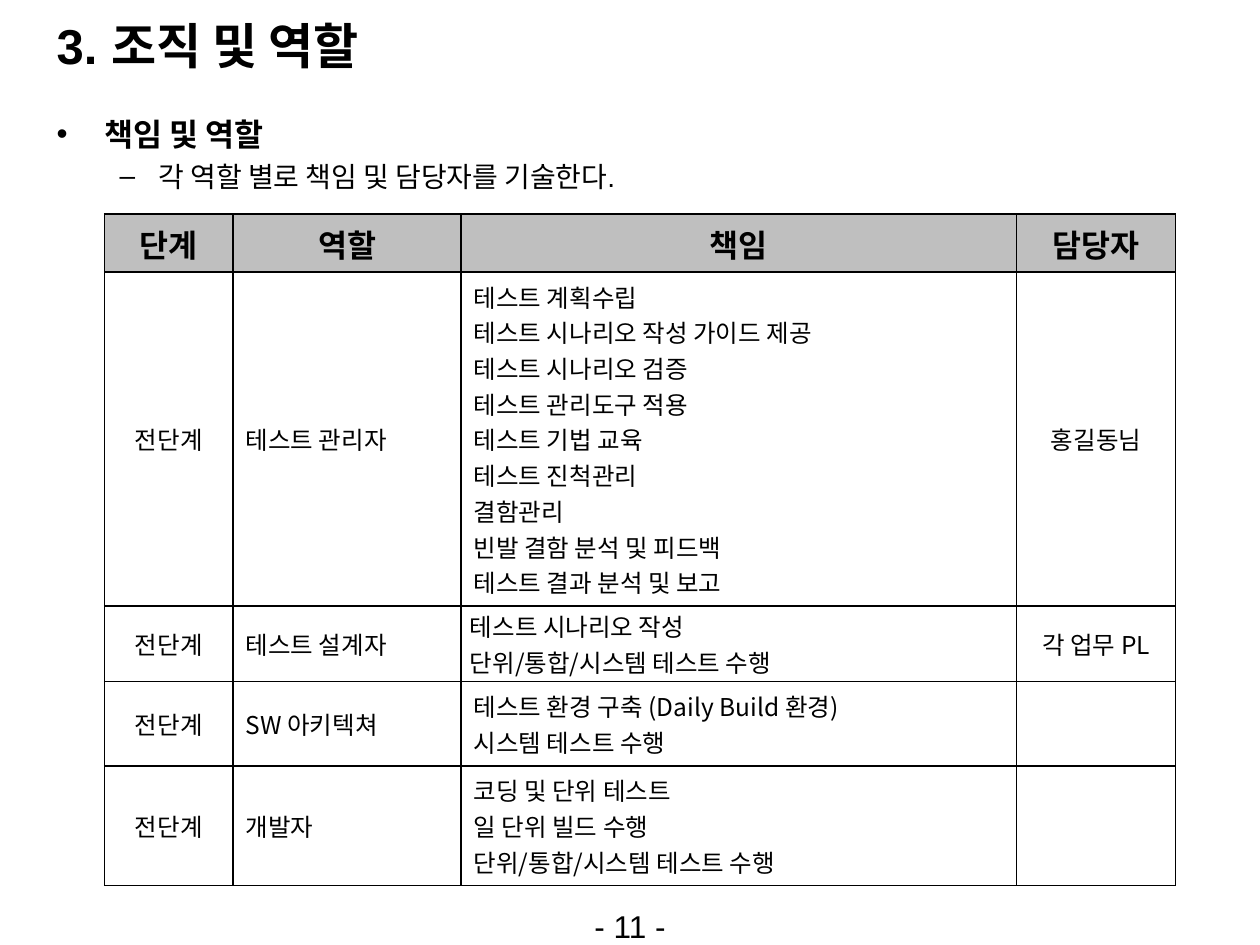
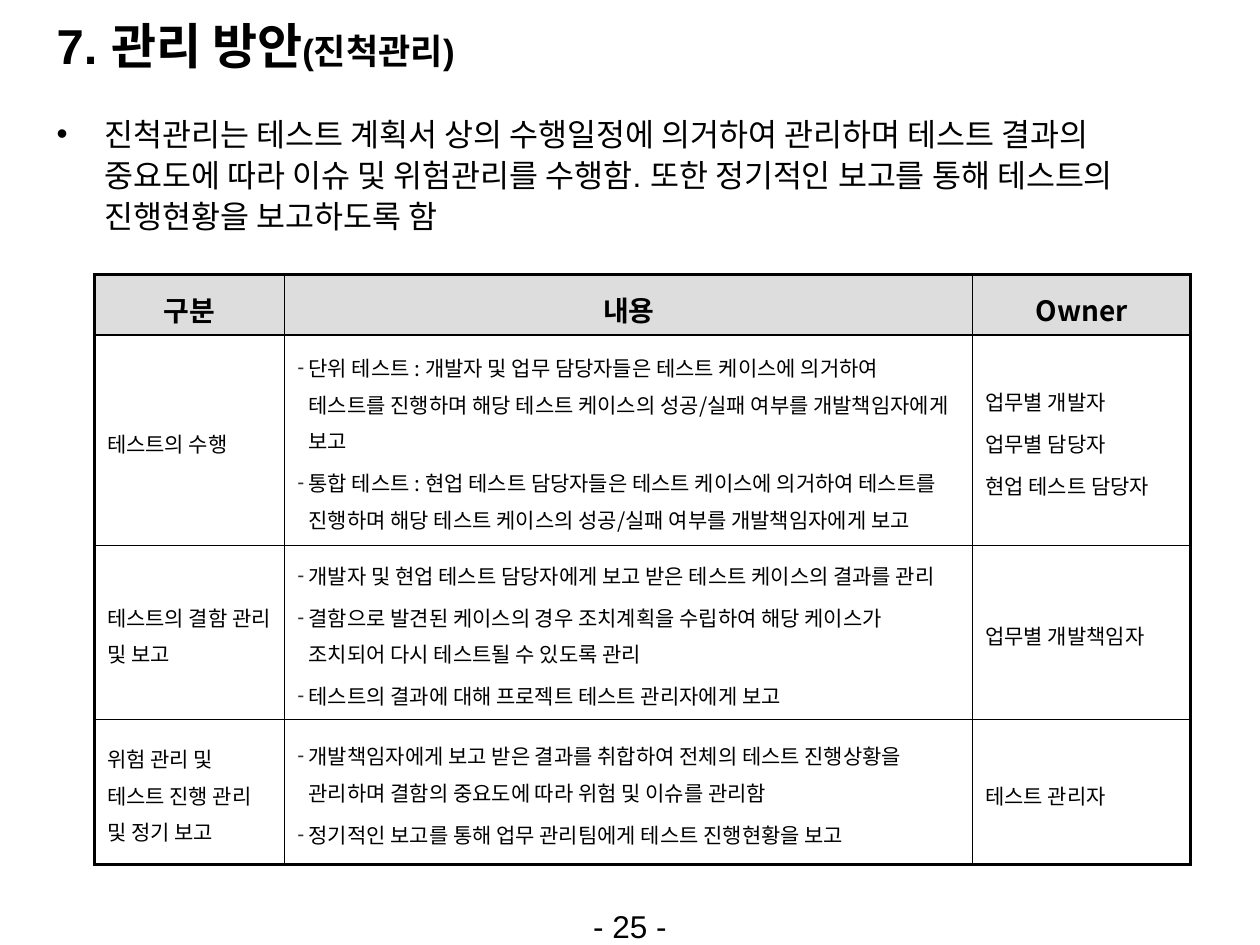
from dataclasses import dataclass
from lxml.etree import SubElement
from pptx import Presentation
from pptx.dml.color import RGBColor
from pptx.enum.text import MSO_ANCHOR, MSO_AUTO_SIZE, PP_ALIGN
from pptx.oxml import parse_xml
from pptx.oxml.ns import nsdecls, qn
from pptx.util import Inches, Pt


@dataclass(frozen=True)
class Theme:
    """Colours, fonts and type sizes of the deck."""
    ink: str = "000000"
    dash: str = "333333"
    gray: str = "BFBFBF"
    pale: str = "DDDDDD"
    latin: str = "Arial"
    hangul: str = "Noto Sans CJK KR"
    title: int = 28
    note: int = 20
    lead: int = 18
    sub: int = 16
    cell: int = 14
    small: int = 12
    thin: float = 1
    thick: float = 2.25


THEME = Theme()
WIDE, HIGH = Inches(10), Inches(7.5)
COLS, ROWS = 100, 75
TITLE = (3.5, 0.5, 92.9, 6.2)
BODY = (3.5, 8.4, 92.9, 58.6)
FOOT = (43.3, 71.5, 13.4, 3.5)
ROLES = (8.3, 17, 85, 53.3)
PLAN = (7.5, 21.8, 87, 46.8)

DUTY = "단위/통합/시스템 테스트 수행"
ROLE_ROWS = [
    ["단계", "역할", "책임", "담당자"],
    ["전단계", "테스트 관리자",
     ["테스트 계획수립", "테스트 시나리오 작성 가이드 제공", "테스트 시나리오 검증",
      "테스트 관리도구 적용", "테스트 기법 교육", "테스트 진척관리", "결함관리",
      "빈발 결함 분석 및 피드백", "테스트 결과 분석 및 보고"], "홍길동님"],
    ["전단계", "테스트 설계자", ["테스트 시나리오 작성", DUTY], "각 업무 PL"],
    ["전단계", "SW 아키텍쳐",
     ["테스트 환경 구축 (Daily Build 환경)", "시스템 테스트 수행"], ""],
    ["전단계", "개발자", ["코딩 및 단위 테스트", "일 단위 빌드 수행", DUTY], ""],
]
PLAN_ROWS = [
    ["구분", "내용", "Owner"],
    ["테스트의 수행",
     ["단위 테스트 : 개발자 및 업무 담당자들은 테스트 케이스에 의거하여 테스트를 진행하며 "
      "해당 테스트 케이스의 성공/실패 여부를 개발책임자에게 보고",
      "통합 테스트 : 현업 테스트 담당자들은 테스트 케이스에 의거하여 테스트를 진행하며 "
      "해당 테스트 케이스의 성공/실패 여부를 개발책임자에게 보고"],
     ["업무별 개발자", "업무별 담당자", "현업 테스트 담당자"]],
    ["테스트의 결함 관리 및 보고",
     ["개발자 및 현업 테스트 담당자에게 보고 받은 테스트 케이스의 결과를 관리",
      "결함으로 발견된 케이스의 경우 조치계획을 수립하여 해당 케이스가 조치되어 다시 "
      "테스트될 수 있도록 관리",
      "테스트의 결과에 대해 프로젝트 테스트 관리자에게 보고"], "업무별 개발책임자"],
    ["위험 관리 및 테스트 진행 관리 및 정기 보고",
     ["개발책임자에게 보고 받은 결과를 취합하여 전체의 테스트 진행상황을 관리하며 결함의 "
      "중요도에 따라 위험 및 이슈를 관리함",
      "정기적인 보고를 통해 업무 관리팀에게 테스트 진행현황을 보고"], "테스트 관리자"],
]
LEAD = ("진척관리는 테스트 계획서 상의 수행일정에 의거하여 관리하며 테스트 결과의 중요도에 따라 "
        "이슈 및 위험관리를 수행함. 또한 정기적인 보고를 통해 테스트의 진행현황을 보고하도록 함")


def apply(item, **form):
    """Set each named format value on an item."""
    for name, value in form.items():
        setattr(item, name, value)


def span(box):
    """Turn grid columns and rows into slide lengths."""
    units = (WIDE / COLS, HIGH / ROWS) * 2
    return [round(part * unit) for part, unit in zip(box, units)]


def place(shape, box):
    """Move a shape to a grid box."""
    apply(shape, **dict(zip(("left", "top", "width", "height"), span(box))))


def write(para, text, size, bold=False, face=THEME.latin):
    """Add one run with Latin and Hangul fonts."""
    run = para.add_run()
    run.text = text
    apply(run.font, name=face, size=Pt(size), bold=bold)
    run.font.color.rgb = RGBColor.from_string(THEME.ink)
    SubElement(run.font._element, qn("a:ea"), typeface=THEME.hangul)


def mark(para, sign, left, hang, color=THEME.ink):
    """Give a paragraph a hanging bullet."""
    props = para._p.get_or_add_pPr()
    props.set("marL", str(Inches(left)))
    props.set("indent", str(-Inches(hang)))
    tint = SubElement(props, qn("a:buClr"))
    SubElement(tint, qn("a:srgbClr"), val=color)
    SubElement(props, qn("a:buFont"), typeface=THEME.latin)
    SubElement(props, qn("a:buChar"), char=sign)


def paras(frame, count):
    """Return the asked number of paragraphs of a frame."""
    return [frame.paragraphs[0]] + [frame.add_paragraph() for _ in range(count - 1)]


def head(slide, box, parts):
    """Fill the title with runs of text and size."""
    shape = slide.shapes.title
    place(shape, box)
    apply(shape.text_frame, word_wrap=True, auto_size=MSO_AUTO_SIZE.NONE,
          vertical_anchor=MSO_ANCHOR.MIDDLE)
    para = shape.text_frame.paragraphs[0]
    para.alignment = PP_ALIGN.LEFT
    for text, size in parts:
        write(para, text, size, True)


def points(slide, box, items):
    """Fill the body with items of level, text and weight."""
    shape = slide.placeholders[1]
    place(shape, box)
    apply(shape.text_frame, word_wrap=True, auto_size=MSO_AUTO_SIZE.NONE,
          vertical_anchor=MSO_ANCHOR.TOP)
    looks = [("•", 0.38, 0.38, THEME.lead), ("–", 0.81, 0.31, THEME.sub)]
    for i, (para, (level, text, bold)) in enumerate(
            zip(paras(shape.text_frame, len(items)), items)):
        sign, left, hang, size = looks[level]
        apply(para, level=level, line_spacing=1.08, space_before=Pt(2 if i else 0))
        mark(para, sign, left, hang)
        write(para, text, size, bold)


def foot(slide, box, page):
    """Write the page number."""
    frame = slide.shapes.add_textbox(*span(box)).text_frame
    frame.word_wrap = True
    para = frame.paragraphs[0]
    para.alignment = PP_ALIGN.CENTER
    write(para, f"- {page} -", THEME.lead)


def edge(cell, sides):
    """Draw the four borders of a cell, given widths by side."""
    props = cell._tc.get_or_add_tcPr()
    for i, (side, width) in enumerate(sides.items()):
        props.insert(i, parse_xml(
            f'<a:ln{side} {nsdecls("a")} w="{Pt(width)}"><a:solidFill>'
            f'<a:srgbClr val="{THEME.ink}"/></a:solidFill></a:ln{side}>'))


def grid(slide, box, data, cols, rows, look):
    """Build a ruled table with a shaded first row."""
    table = slide.shapes.add_table(len(rows), len(cols), *span(box)).table
    apply(table, first_row=False, horz_banding=False)
    for col, part in zip(table.columns, cols):
        col.width = round(part * WIDE / COLS)
    for row, part in zip(table.rows, rows):
        row.height = round(part * HIGH / ROWS)
    for r, line in enumerate(data):
        for c, text in enumerate(line):
            cell = table.cell(r, c)
            cell.vertical_anchor = MSO_ANCHOR.MIDDLE
            if r:
                cell.fill.background()
            else:
                cell.fill.solid()
                cell.fill.fore_color.rgb = RGBColor.from_string(look["fill"])
            outer = {"L": c == 0, "R": c == len(cols) - 1,
                     "T": r == 0, "B": r == len(rows) - 1}
            edge(cell, {side: look["rim"] if out else THEME.thin
                        for side, out in outer.items()})
            if not text:
                continue
            texts = [text] if isinstance(text, str) else text
            mid = r == 0 or c in look["mid"]
            for i, (para, item) in enumerate(zip(paras(cell.text_frame, len(texts)), texts)):
                apply(para, alignment=PP_ALIGN.CENTER if mid else PP_ALIGN.LEFT,
                      line_spacing=look["lead"], space_before=Pt(look["gap"] if i else 0))
                if r and c == look["dash"]:
                    mark(para, "-", 0.09, 0.09, THEME.dash)
                write(para, item, look["size"] if r else look["top"], r == 0, THEME.hangul)
    return table


def start(deck, parts, items, page):
    """Add a slide with title, body and page number."""
    slide = deck.slides.add_slide(deck.slide_layouts[1])
    head(slide, TITLE, parts)
    points(slide, BODY, items)
    foot(slide, FOOT, page)
    return slide


def roles(deck):
    """Build the slide on duties and roles."""
    slide = start(deck, [("3. 조직 및 역할", THEME.title)],
                  [(0, "책임 및 역할", True),
                   (1, "각 역할 별로 책임 및 담당자를 기술한다.", False)], 11)
    look = dict(fill=THEME.gray, rim=THEME.thin, mid=(0, 3), dash=None, lead=1.0,
                gap=0, top=THEME.lead, size=THEME.cell)
    table = grid(slide, ROLES, ROLE_ROWS, (10.2, 18.1, 44.1, 12.6),
                 (4.6, 26.5, 6, 6.7, 9.5), look)
    apply(table.cell(2, 2), margin_left=Inches(0.07), margin_right=Inches(0.07),
          margin_top=0, margin_bottom=0)


def plan(deck):
    """Build the slide on progress control."""
    slide = start(deck, [("7. 관리 방안", THEME.title), ("(진척관리)", THEME.note)],
                  [(0, LEAD, False)], 25)
    look = dict(fill=THEME.pale, rim=THEME.thick, mid=(), dash=1, lead=1.2,
                gap=3, top=THEME.sub, size=THEME.small)
    grid(slide, PLAN, PLAN_ROWS, (15.1, 54.6, 17.3), (4.8, 16.7, 13.8, 11.5), look)


def main():
    """Build and save the deck."""
    deck = Presentation()
    apply(deck, slide_width=WIDE, slide_height=HIGH)
    roles(deck)
    plan(deck)
    deck.save("out.pptx")


if __name__ == "__main__":
    main()
